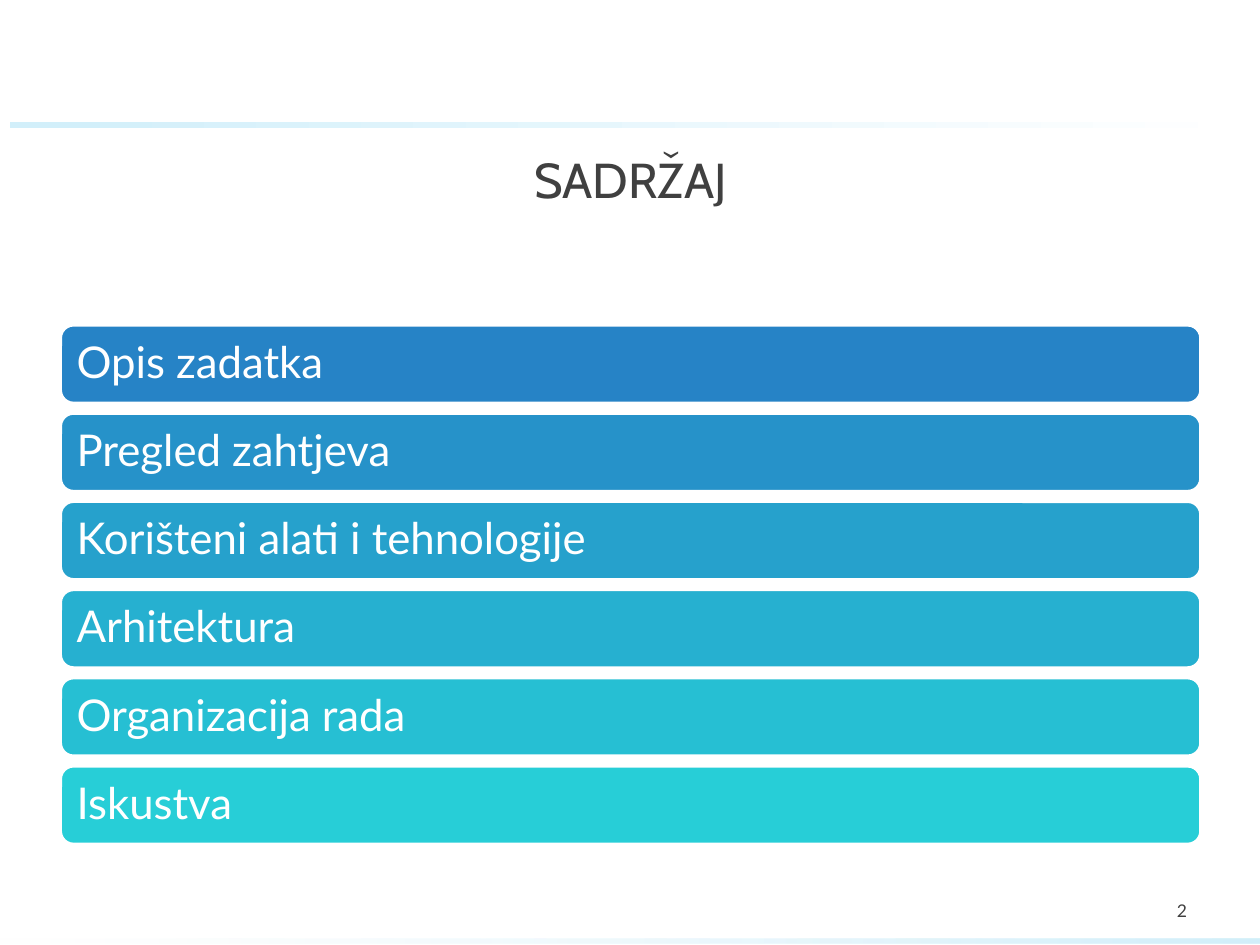
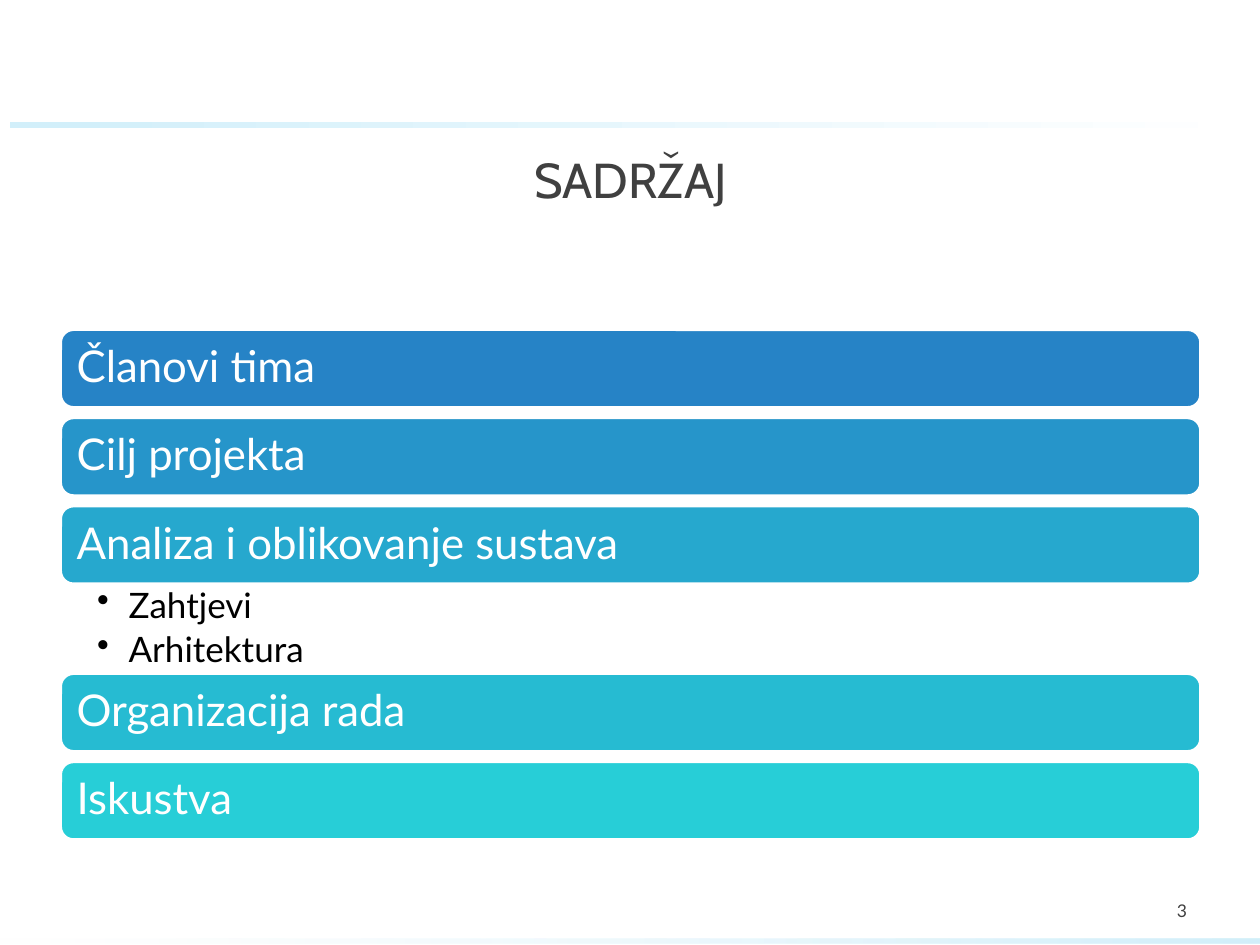
"""Build the two agenda slides of the project presentation."""
from lxml.etree import SubElement
from pptx import Presentation
from pptx.dml.color import RGBColor
from pptx.enum.shapes import MSO_SHAPE
from pptx.enum.text import MSO_ANCHOR, PP_ALIGN
from pptx.oxml.ns import qn
from pptx.util import Inches, Pt

COLORS = {
    "white": "FFFFFF",
    "ice": "D2EFFA",
    "gray": "404040",
    "black": "000000",
    "first_topic": "2683C6",
    "last_topic": "27CED7",
}
HEADING_FONT, BODY_FONT = "Cabin", "Lato"
LEFT, WIDTH = Inches(0.48), Inches(9.05)
TOPIC_HEIGHT, TOPIC_GAP = Inches(0.62), Inches(0.08)
SUBTOPICS_HEIGHT = Inches(0.71)
AGENDA_MIDDLE = Inches(4.64)

AGENDAS = {
    2: [
        ("Opis zadatka", []),
        ("Pregled zahtjeva", []),
        ("Korišteni alati i tehnologije", []),
        ("Arhitektura", []),
        ("Organizacija rada", []),
        ("Iskustva", []),
    ],
    3: [
        ("Članovi tima", []),
        ("Cilj projekta", []),
        ("Analiza i oblikovanje sustava", ["Zahtjevi", "Arhitektura"]),
        ("Organizacija rada", []),
        ("Iskustva", []),
    ],
}


def blend(start, end, share):
    """Return the colour that lies at a share of the way between two colours."""
    pairs = zip(RGBColor.from_string(start), RGBColor.from_string(end))
    return RGBColor(*(int(a + (b - a) * share) for a, b in pairs))


def write(frame, text, *, size, color, font=BODY_FONT, align=PP_ALIGN.LEFT,
          anchor=MSO_ANCHOR.MIDDLE, insets=(0.1, 0.05, 0.1, 0.05),
          spacing=None, after=0, bullet=None):
    """Write one paragraph per line of text into a frame."""
    frame.word_wrap = True
    frame.vertical_anchor = anchor
    (frame.margin_left, frame.margin_top,
     frame.margin_right, frame.margin_bottom) = map(Inches, insets)
    frame.text = text
    for paragraph in frame.paragraphs:
        paragraph.alignment = align
        paragraph.line_spacing = spacing
        paragraph.space_after = Pt(after)
        paragraph.font.size = Pt(size)
        for run in paragraph.runs:
            run.font.size = Pt(size)
            run.font.name = font
            run.font.color.rgb = RGBColor.from_string(COLORS[color])
        if bullet:
            properties = paragraph._p.get_or_add_pPr()
            properties.set("marL", str(Inches(0.25)))
            properties.set("indent", str(-Inches(0.25)))
            mark = properties.makeelement(qn("a:buChar"), {"char": bullet})
            properties.insert_element_before(mark, "a:tabLst", "a:defRPr", "a:extLst")


class AgendaDeck:
    """Hold the shared style and the slide being built."""

    def __init__(self):
        """Start an empty 10 by 7.5 inch presentation."""
        self.presentation = Presentation()
        self.presentation.slide_width = Inches(10)
        self.presentation.slide_height = Inches(7.5)
        self.slide = None

    def start_slide(self, number):
        """Add a slide with its bands, title and number."""
        self.slide = self.presentation.slides.add_slide(self.presentation.slide_layouts[6])
        self.band(0.08, 0.97, 9.84, 0.05, "ice", "white")
        self.band(0, 7.45, 10, 0.04, "white", "ice", start_opacity=56)
        self.label("SADRŽAJ", LEFT, Inches(0.77), WIDTH, Inches(1.3), size=28,
                   color="gray", font=HEADING_FONT, align=PP_ALIGN.CENTER)
        self.label(str(number), Inches(8.66), Inches(7.03), Inches(0.86), Inches(0.4),
                   size=10, color="gray", align=PP_ALIGN.RIGHT, after=6)

    def band(self, left, top, width, height, start, end, start_opacity=None):
        """Draw a thin band that fades from one colour to another."""
        strip = self.slide.shapes.add_shape(
            MSO_SHAPE.RECTANGLE, *map(Inches, (left, top, width, height)))
        strip.shadow.inherit = False
        strip.line.fill.background()
        strip.fill.gradient()
        strip.fill.gradient_angle = 0
        for stop, position, color in zip(strip.fill.gradient_stops, (0.03, 1), (start, end)):
            stop.position = position
            stop.color.rgb = RGBColor.from_string(COLORS[color])
        if start_opacity:
            first_color = next(strip._element.spPr.iter(qn("a:srgbClr")))
            SubElement(first_color, qn("a:alpha"), val=str(start_opacity * 1000))

    def label(self, text, left, top, width, height, **style):
        """Place plain text on the slide."""
        box = self.slide.shapes.add_textbox(left, top, width, height)
        write(box.text_frame, text, **style)

    def topic(self, text, top, color):
        """Draw a rounded bar that names a topic."""
        bar = self.slide.shapes.add_shape(
            MSO_SHAPE.ROUNDED_RECTANGLE, LEFT, top, WIDTH, TOPIC_HEIGHT)
        bar.shadow.inherit = False
        bar.fill.solid()
        bar.fill.fore_color.rgb = color
        bar.line.color.rgb = RGBColor.from_string(COLORS["white"])
        bar.line.width = Pt(1.75)
        write(bar.text_frame, text, size=25, color="white", spacing=0.9,
              insets=(0.1, 0.1, 0.1, 0.1))

    def agenda(self, topics):
        """Stack the topics, with their subtopics, around the agenda's middle."""
        steps = [TOPIC_HEIGHT + (SUBTOPICS_HEIGHT if subtopics else TOPIC_GAP)
                 for _, subtopics in topics]
        top = AGENDA_MIDDLE - (sum(steps) - TOPIC_GAP) // 2
        for index, ((name, subtopics), step) in enumerate(zip(topics, steps)):
            share = index / (len(topics) - 1)
            self.topic(name, top, blend(COLORS["first_topic"], COLORS["last_topic"], share))
            if subtopics:
                self.label("\n".join(subtopics), LEFT, top + TOPIC_HEIGHT, WIDTH,
                           SUBTOPICS_HEIGHT, size=20, color="black",
                           anchor=MSO_ANCHOR.TOP, insets=(0.29, 0.03, 0.19, 0.03),
                           spacing=0.9, after=4, bullet="•")
            top += step


def main():
    """Build every agenda slide and save the presentation."""
    deck = AgendaDeck()
    for number, topics in AGENDAS.items():
        deck.start_slide(number)
        deck.agenda(topics)
    deck.presentation.save("out.pptx")


if __name__ == "__main__":
    main()
